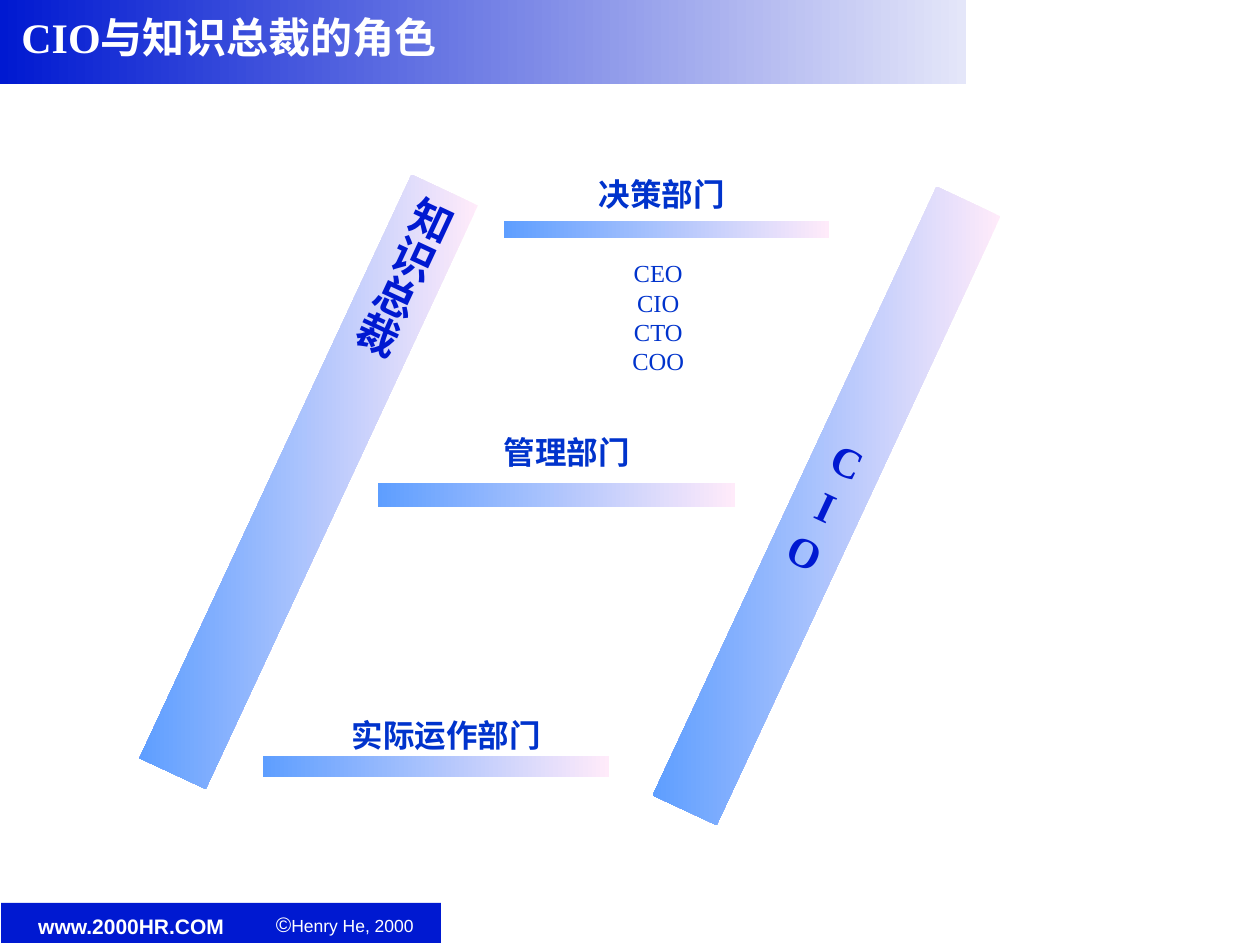
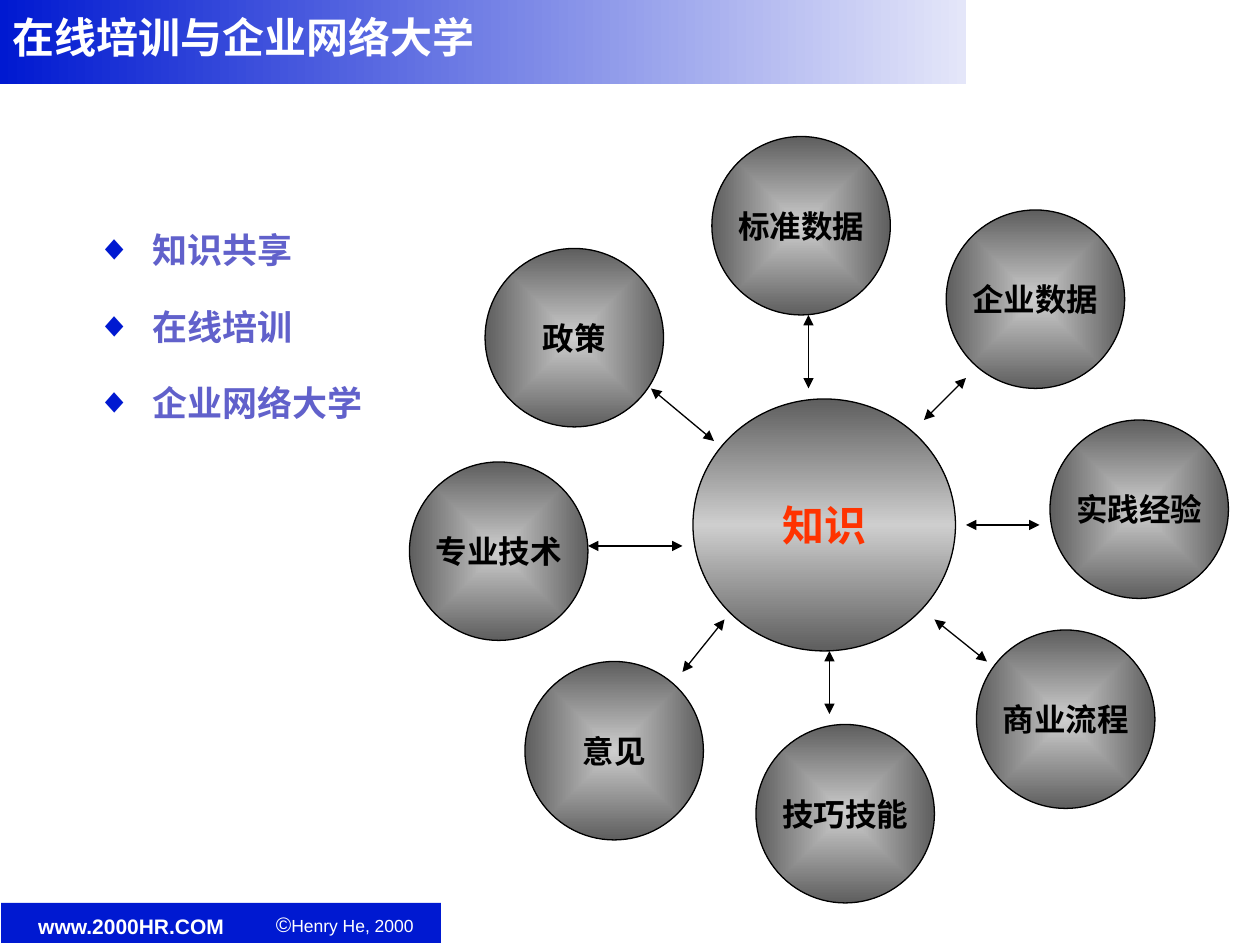
from dataclasses import dataclass

from pptx import Presentation
from pptx.dml.color import RGBColor
from pptx.enum.shapes import MSO_CONNECTOR, MSO_SHAPE
from pptx.enum.text import MSO_ANCHOR, MSO_AUTO_SIZE, PP_ALIGN
from pptx.oxml import parse_xml
from pptx.oxml.ns import nsdecls, qn
from pptx.util import Pt

RECT, OVAL = MSO_SHAPE.RECTANGLE, MSO_SHAPE.OVAL
STRAIGHT = MSO_CONNECTOR.STRAIGHT
LEFT, CENTER = PP_ALIGN.LEFT, PP_ALIGN.CENTER
TOP, MIDDLE = MSO_ANCHOR.TOP, MSO_ANCHOR.MIDDLE
NO_AUTOFIT = MSO_AUTO_SIZE.NONE
TITLE_ONLY, TITLE_AND_BODY = 5, 1


@dataclass(frozen=True)
class Theme:
    navy: str = "0019D1"
    blue: str = "0033CC"
    violet: str = "6161CB"
    red: str = "FF3300"
    white: str = "FFFFFF"
    black: str = "000000"
    band: tuple = ((0, "E4E6F9"), (100, "0019D1"))
    bar: tuple = ((0, "FFEBFA"), (100, "5E9EFF"))
    hub: tuple = ((0, "5E5E5E"), (50, "CECECE"), (100, "5E5E5E"))
    satellite: tuple = ((0, "CECECE"), (100, "5E5E5E"))
    serif: str = "Times New Roman"
    sans: str = "Arial"
    large: int = 24
    bullet: int = 20
    label: int = 18
    officer: int = 14
    site: int = 12
    copyright: int = 10
    thin: float = 0.75


THEME = Theme()


def font_style(size, color, name=THEME.serif, bold=True):
    return {"size": Pt(size), "name": name, "bold": bold, "color": color}


TITLE_STYLE = font_style(THEME.large, THEME.white)
BAR_STYLE = font_style(THEME.large, THEME.navy)
DEPARTMENT_STYLE = font_style(THEME.label, THEME.blue)
OFFICER_STYLE = font_style(THEME.officer, THEME.blue, bold=False)
BULLET_STYLE = font_style(THEME.bullet, THEME.violet, THEME.sans)
HUB_STYLE = font_style(THEME.large, THEME.red)
SATELLITE_STYLE = font_style(THEME.label, THEME.black)
SITE_STYLE = font_style(THEME.site, THEME.white, THEME.sans)
COPYRIGHT_STYLE = font_style(THEME.copyright, THEME.white, THEME.sans, False)

# label, label box, strip below it
DEPARTMENTS = [
    ("管理部门", (234, 234, 180, 48), (216, 276, 204, 13.7)),
    ("实际运作部门", (174, 396, 162, 48), (150, 432, 198, 12)),
    ("决策部门", (276, 84, 204, 54), (288, 126, 186, 10)),
]
OFFICERS = ["CEO", "CIO", "CTO", "COO"]
BAR_ANGLE = 25

TOPICS = ["知识共享", "在线培训", "企业网络大学"]
SATELLITE_SIZE = 102
# label, top left corner, arrow from and to
SATELLITES = [
    ("意见", (300, 378), (414, 354, 390, 384)),
    ("技巧技能", (432, 414), (474, 372, 474, 408)),
    ("商业流程", (558, 360), (564, 378, 534, 354)),
    ("实践经验", (600, 240), (594, 300, 552, 300)),
    ("企业数据", (540.7, 120), (552, 216, 528, 240)),
    ("标准数据", (406.8, 78), (462, 180, 462, 222)),
    ("政策", (277.2, 142), (372, 222, 408, 252)),
    ("专业技术", (234, 264), (336, 312, 390, 312)),
]


def points(values):
    return [Pt(value) for value in values]


def place(shape, box):
    for side, value in zip(("left", "top", "width", "height"), points(box)):
        setattr(shape, side, value)


def set_attributes(target, values):
    for key, value in values.items():
        setattr(target, key, value)


def add_bullet(paragraph, char, color, indent, percent=100):
    properties = paragraph._p.get_or_add_pPr()
    properties.set("marL", str(Pt(indent)))
    properties.set("indent", str(-Pt(indent)))
    for xml in (
        f'<a:buClr {nsdecls("a")}><a:srgbClr val="{color}"/></a:buClr>',
        f'<a:buSzPct {nsdecls("a")} val="{percent * 1000}"/>',
        f'<a:buFont {nsdecls("a")} typeface="{THEME.sans}"/>',
        f'<a:buChar {nsdecls("a")} char="{char}"/>',
    ):
        properties.append(parse_xml(xml))


def write(shape, lines, style, align=CENTER, anchor=MIDDLE, wrap=False,
          bullet=None, spacing=None):
    """Fill a shape's text frame, one paragraph a line."""
    frame = shape.text_frame
    set_attributes(frame, {"word_wrap": wrap, "auto_size": NO_AUTOFIT,
                           "vertical_anchor": anchor})
    for index, line in enumerate(lines):
        paragraph = frame.add_paragraph() if index else frame.paragraphs[0]
        if bullet:
            add_bullet(paragraph, **bullet)
        set_attributes(paragraph, {"alignment": align, **(spacing or {})})
        run = paragraph.add_run()
        run.text = line
        set_attributes(run.font, {k: v for k, v in style.items() if k != "color"})
        run.font.color.rgb = RGBColor.from_string(style["color"])


def fill_gradient(shape, stops, angle=180, from_center=False):
    """Give a gradient that stays level with the page when the shape turns."""
    stop_xml = "".join(
        f'<a:gs pos="{position * 1000}"><a:srgbClr val="{color}"/></a:gs>'
        for position, color in stops)
    direction = f'<a:lin ang="{angle * 60000}" scaled="0"/>'
    if from_center:
        direction = ('<a:path path="rect"><a:fillToRect l="50000" t="50000" '
                     'r="50000" b="50000"/></a:path>')
    shape.element.spPr.find(qn("a:prstGeom")).addnext(parse_xml(
        f'<a:gradFill {nsdecls("a")} rotWithShape="0">'
        f'<a:gsLst>{stop_xml}</a:gsLst>{direction}</a:gradFill>'))


def add_figure(slide, kind, box, fill=None, line=None, width=THEME.thin):
    """Add a preset shape; fill is a colour, or None to leave it unset."""
    shape = slide.shapes.add_shape(kind, *points(box))
    shape.shadow.inherit = False
    if fill:
        shape.fill.solid()
        shape.fill.fore_color.rgb = RGBColor.from_string(fill)
    if line:
        shape.line.color.rgb = RGBColor.from_string(line)
        shape.line.width = Pt(width)
    else:
        shape.line.fill.background()
    return shape


def add_gradient_bar(slide, box, stops=THEME.bar):
    bar = add_figure(slide, RECT, box)
    fill_gradient(bar, stops)
    return bar


def add_role_bar(slide, box, lines):
    bar = add_gradient_bar(slide, box)
    bar.rotation = BAR_ANGLE
    write(bar, lines, BAR_STYLE)
    return bar


def add_circle(slide, box, label, style, stops, **gradient):
    circle = add_figure(slide, OVAL, box, line=THEME.black)
    fill_gradient(circle, stops, **gradient)
    write(circle, [label], style)


def add_double_arrow(slide, ends):
    arrow = slide.shapes.add_connector(STRAIGHT, *points(ends))
    arrow.line.color.rgb = RGBColor.from_string(THEME.black)
    arrow.line.width = Pt(THEME.thin)
    properties = arrow.element.spPr
    for end in ("headEnd", "tailEnd"):
        properties.find(qn("a:ln")).append(
            parse_xml(f'<a:{end} {nsdecls("a")} type="triangle"/>'))
    properties.append(parse_xml(f'<a:effectLst {nsdecls("a")}/>'))


def set_title(slide, text, box):
    title = slide.shapes.title
    place(title, box)
    write(title, [text], TITLE_STYLE, LEFT, wrap=True)


def move_to_master(master, shapes):
    """Put shapes behind everything on the master, in the order given."""
    tree = master.shapes.element
    for index, shape in enumerate(shapes):
        shape.element.nvSpPr.cNvPr.set("id", str(100 + index))
        tree.insert(2 + index, shape.element)


def build_shared_parts(master, slide):
    footer = add_figure(slide, RECT, (0, 516, 252, 24), THEME.navy)
    frame = add_figure(slide, RECT, (0, 0, 718, 539.3), line=THEME.white, width=1)
    frame.fill.background()
    owner = slide.shapes.add_textbox(*points((157.7, 524, 84, 11)))
    set_attributes(owner.text_frame, dict.fromkeys(
        ("margin_left", "margin_top", "margin_right", "margin_bottom"), 0))
    write(owner, ["Henry He, 2000"], COPYRIGHT_STYLE, LEFT, wrap=True,
          bullet={"char": "©", "color": THEME.white, "indent": 7.2, "percent": 120},
          spacing={"line_spacing": 0.9})
    site = slide.shapes.add_textbox(*points((0, 518.4, 150, 21.6)))
    write(site, ["www.2000HR.COM"], SITE_STYLE, wrap=True)
    band = add_gradient_bar(slide, (0, 0, 552, 48), THEME.band)
    move_to_master(master, [footer, frame, owner, site, band])


def build_roles(slide):
    set_title(slide, "CIO与知识总裁的角色", (5, 0, 300, 42))
    add_role_bar(slide, (452.2, 97.2, 40.3, 383.8), "CIO")
    for label, label_box, _ in DEPARTMENTS:
        department = add_figure(slide, RECT, label_box, THEME.white, THEME.white)
        write(department, [label], DEPARTMENT_STYLE)
    for _, _, strip_box in DEPARTMENTS:
        add_gradient_bar(slide, strip_box)
    knowledge_bar = add_role_bar(slide, (155.5, 91.4, 41.8, 367.9), ["知识总裁"])
    set_attributes(knowledge_bar.text_frame, {
        "margin_left": Pt(3.6), "margin_right": Pt(3.6),
        "margin_top": Pt(7.2), "margin_bottom": Pt(7.2)})
    knowledge_bar.text_frame._txBody.bodyPr.set("vert", "eaVert")
    officers = slide.shapes.add_textbox(*points((354.2, 144, 43.9, 91.4)))
    write(officers, OFFICERS, OFFICER_STYLE, anchor=TOP)


def build_training(slide):
    set_title(slide, "在线培训与企业网络大学", (0, 0, 378, 42))
    topics = slide.placeholders[1]
    place(topics, (48, 120, 210, 144))
    write(topics, TOPICS, BULLET_STYLE, LEFT, TOP, wrap=True,
          bullet={"char": "◆", "color": THEME.navy, "indent": 31.7},
          spacing={"line_spacing": 1.3, "space_before": Pt(0),
                   "space_after": Pt(12.5)})
    add_circle(slide, (396, 228, 150, 144), "知识", HUB_STYLE, THEME.hub, angle=90)
    for label, corner, _ in SATELLITES:
        add_circle(slide, (*corner, SATELLITE_SIZE, SATELLITE_SIZE), label,
                   SATELLITE_STYLE, THEME.satellite, from_center=True)
    for _, _, ends in SATELLITES:
        add_double_arrow(slide, ends)


def main():
    deck = Presentation()
    deck.slide_width, deck.slide_height = Pt(720), Pt(540)
    roles = deck.slides.add_slide(deck.slide_layouts[TITLE_ONLY])
    build_shared_parts(deck.slide_master, roles)
    build_roles(roles)
    build_training(deck.slides.add_slide(deck.slide_layouts[TITLE_AND_BODY]))
    deck.save("out.pptx")


if __name__ == "__main__":
    main()
